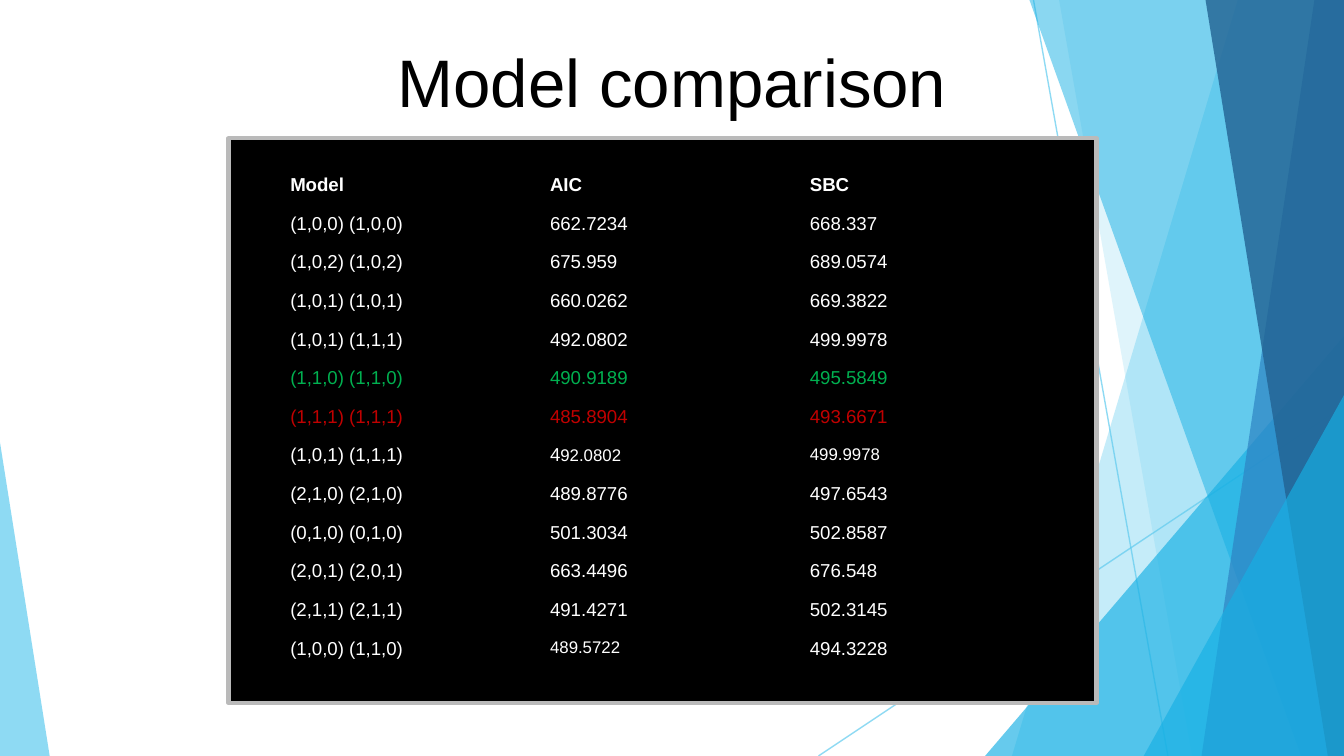
from typing import NamedTuple

from lxml.etree import SubElement
from pptx import Presentation
from pptx.dml.color import RGBColor
from pptx.enum.shapes import MSO_CONNECTOR, MSO_SHAPE
from pptx.enum.text import MSO_ANCHOR, PP_ALIGN
from pptx.oxml.ns import qn
from pptx.util import Inches, Pt

WIDTH = 10
HEIGHT = WIDTH * 9 / 16
SKY = RGBColor(0x5F, 0xCB, 0xEF)
CYAN = RGBColor(0x17, 0xB0, 0xE4)
BLUE = RGBColor(0x2E, 0x83, 0xC3)
NAVY = RGBColor(0x22, 0x62, 0x92)
BLACK = RGBColor(0, 0, 0)
WHITE = RGBColor(0xFF, 0xFF, 0xFF)
GREY = RGBColor(0xBA, 0xBA, 0xBA)
GREEN = RGBColor(0x00, 0xB0, 0x50)
RED = RGBColor(0xC0, 0, 0)


class Ray(NamedTuple):
    x1: float
    y1: float
    x2: float
    y2: float


class Band(NamedTuple):
    """Full-height facet reaching the right edge of the slide."""
    top_x: float
    bottom_x: float
    color: RGBColor
    alpha: int


class Corner(NamedTuple):
    """Triangle standing on the bottom edge; apex is 0 (left) or 1 (right)."""
    left: float
    top: float
    width: float
    apex: int
    color: RGBColor
    alpha: int


class Model(NamedTuple):
    name: str
    aic: str
    sbc: str
    color: RGBColor = WHITE


DECOR = [
    Ray(7.69, 0, 8.69, HEIGHT),
    Ray(WIDTH, 3.02, 6.09, HEIGHT),
    Band(9.21, 7.53, SKY, 36),
    Band(7.88, 8.87, SKY, 20),
    Corner(7.33, 2.5, 2.67, 1, CYAN, 66),
    Band(7.66, 9.68, CYAN, 50),
    Band(9.78, 8.94, BLUE, 70),
    Band(8.97, 9.88, NAVY, 80),
    Corner(8.51, 2.94, 1.49, 1, CYAN, 66),
    Corner(0, 3.29, 0.37, 0, SKY, 70),
]

MODELS = [
    Model("Model", "AIC", "SBC"),
    Model("(1,0,0) (1,0,0)", "662.7234", "668.337"),
    Model("(1,0,2) (1,0,2)", "675.959", "689.0574"),
    Model("(1,0,1) (1,0,1)", "660.0262", "669.3822"),
    Model("(1,0,1) (1,1,1)", "492.0802", "499.9978"),
    Model("(1,1,0) (1,1,0)", "490.9189", "495.5849", GREEN),
    Model("(1,1,1) (1,1,1)", "485.8904", "493.6671", RED),
    Model("(1,0,1) (1,1,1)", "492.0802", "499.9978"),
    Model("(2,1,0) (2,1,0)", "489.8776", "497.6543"),
    Model("(0,1,0) (0,1,0)", "501.3034", "502.8587"),
    Model("(2,0,1) (2,0,1)", "663.4496", "676.548"),
    Model("(2,1,1) (2,1,1)", "491.4271", "502.3145"),
    Model("(1,0,0) (1,1,0)", "489.5722", "494.3228"),
]
# Cells set at 9 pt: (row, column) -> count of leading letters kept at 10 pt
SMALL_CELLS = {(7, 1): 1, (7, 2): 0, (12, 1): 0}


def set_alpha(fill, percent: int) -> None:
    color = fill._xPr.find(qn("a:solidFill"))[0]
    SubElement(color, qn("a:alpha"), val=str(percent * 1000))


def paint(sp, color: RGBColor, alpha: int) -> None:
    sp.shadow.inherit = False
    sp.fill.solid()
    sp.fill.fore_color.rgb = color
    set_alpha(sp.fill, alpha)
    sp.line.fill.background()


def draw_ray(s, ray: Ray) -> None:
    line = s.shapes.add_connector(MSO_CONNECTOR.STRAIGHT, *map(Inches, ray))
    line.line.width = Pt(0.75)
    line.line.color.rgb = SKY
    set_alpha(line.line.fill, 70)
    SubElement(line._element.spPr, qn("a:effectLst"))


def draw_band(s, band: Band) -> None:
    points = [(WIDTH, 0), (WIDTH, HEIGHT), (band.bottom_x, HEIGHT)]
    builder = s.shapes.build_freeform(Inches(band.top_x), 0)
    builder.add_line_segments([(Inches(x), Inches(y)) for x, y in points])
    paint(builder.convert_to_shape(), band.color, band.alpha)


def draw_corner(s, corner: Corner) -> None:
    sp = s.shapes.add_shape(
        MSO_SHAPE.ISOSCELES_TRIANGLE, Inches(corner.left), Inches(corner.top),
        Inches(corner.width), Inches(HEIGHT - corner.top))
    sp.adjustments[0] = corner.apex
    paint(sp, corner.color, corner.alpha)


def add_run(p, text: str, size: float, color: RGBColor, bold: bool = False) -> None:
    r = p.add_run()
    r.text = text
    for name, value in {"name": "Arial", "size": Pt(size), "bold": bold}.items():
        setattr(r.font, name, value)
    r.font.color.rgb = color


def format_cell(cell) -> None:
    for side in ("left", "right", "top", "bottom"):
        setattr(cell, f"margin_{side}", Inches(0.06))
    tc_pr = cell._tc.get_or_add_tcPr()
    for tag in ("a:lnL", "a:lnR", "a:lnT", "a:lnB"):
        ln = SubElement(tc_pr, qn(tag), w=str(Pt(1)))
        SubElement(SubElement(ln, qn("a:solidFill")), qn("a:srgbClr"), val=str(BLACK))
    cell.fill.background()


def draw_table(s, models: list[Model]) -> None:
    height = Inches(3.74)
    table = s.shapes.add_table(len(models), 3, Inches(2.1), Inches(1.24),
                               Inches(5.8), height).table
    table.first_row = table.horz_banding = False
    for i, model in enumerate(models):
        table.rows[i].height = height // len(models)
        for j, text in enumerate(model[:3]):
            cell = table.cell(i, j)
            format_cell(cell)
            p = cell.text_frame.paragraphs[0]
            split = SMALL_CELLS.get((i, j), len(text))
            for part, size in ((text[:split], 10), (text[split:], 9)):
                if part:
                    add_run(p, part, size, model.color, bold=i == 0)


def main() -> None:
    prs = Presentation()
    prs.slide_width, prs.slide_height = Inches(WIDTH), Inches(HEIGHT)
    s = prs.slides.add_slide(prs.slide_layouts[6])

    # Faceted backdrop
    draw = {Ray: draw_ray, Band: draw_band, Corner: draw_corner}
    for item in DECOR:
        draw[type(item)](s, item)

    # Title
    box = s.shapes.add_textbox(Inches(0.34), Inches(0.2), Inches(9.32), Inches(0.63))
    tf = box.text_frame
    for name, value in {"word_wrap": True, "vertical_anchor": MSO_ANCHOR.TOP,
                        "margin_top": Inches(0.1), "margin_bottom": 0}.items():
        setattr(tf, name, value)
    p = tf.paragraphs[0]
    p.alignment = PP_ALIGN.CENTER
    add_run(p, "Model comparison", 36, BLACK)

    # Black panel behind the table
    panel = s.shapes.add_shape(MSO_SHAPE.RECTANGLE, Inches(1.7), Inches(1.03),
                               Inches(6.46), Inches(4.2))
    panel.shadow.inherit = False
    panel.fill.solid()
    panel.fill.fore_color.rgb = BLACK
    panel.line.color.rgb = GREY
    panel.line.width = Pt(2.25)

    # Model comparison table
    draw_table(s, MODELS)

    prs.save("out.pptx")


if __name__ == "__main__":
    main()
